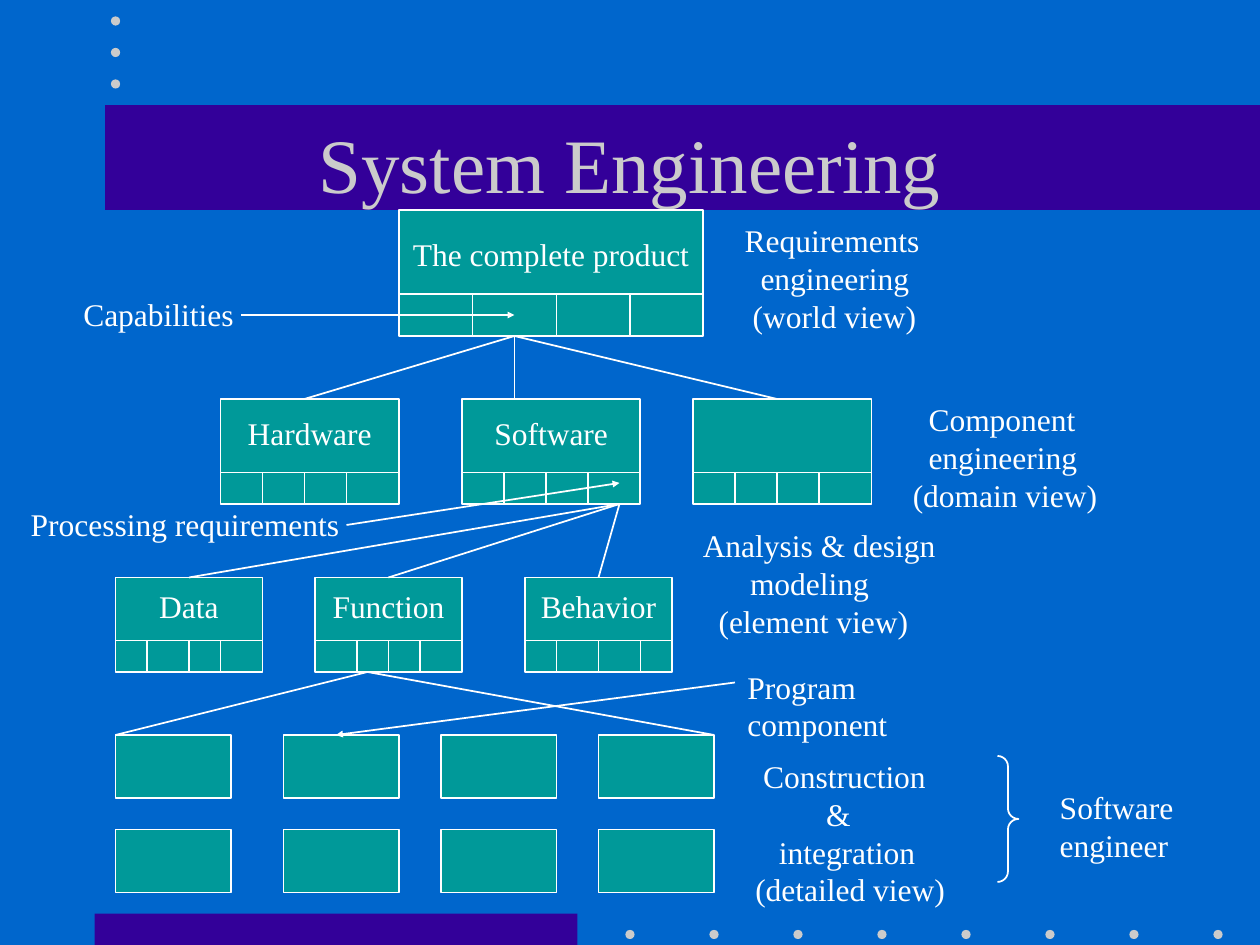
from lxml import etree
from pptx import Presentation
from pptx.dml.color import RGBColor
from pptx.enum.shapes import MSO_CONNECTOR, MSO_SHAPE
from pptx.enum.text import MSO_ANCHOR, PP_ALIGN
from pptx.oxml.ns import qn
from pptx.util import Pt

PX = 9525  # EMU per px, 96 px to the inch
FONT = "Times New Roman"
COLORS = {"back": "0066CC", "band": "330099", "pale": "CBCBCB",
          "box": "009999", "white": "FFFFFF"}

BANDS = [(80, 80, 880, 80), (72, 696, 368, 24)]
DOT = 7
DOT_CENTERS = [(88, 16 + 24 * i) for i in range(3)] + [(480 + 64 * i, 712) for i in range(8)]

# Each tier: top, width, height, depth of the split line,
# then (left, label, divider offsets) for each box
TIERS = [
    (160, 232, 96, 64, [(304, "The complete product", (56, 120, 176))]),
    (304, 136, 80, 56, [(168, "Hardware", (32, 64, 96)),
                        (352, "Software", (32, 64, 96)),
                        (528, "", (32, 64, 96))]),
    (440, 112, 72, 48, [(88, "Data", (24, 56, 80)),
                        (240, "Function", (32, 56, 80)),
                        (400, "Behavior", (24, 56, 88))]),
]
COMPONENT_LEFTS = (88, 216, 336, 456)
COMPONENT_TOPS = (560, 632)
COMPONENT_SIZE = (88, 48)

# Parent point, then the x of each child and their common y
BRANCHES = [
    ((392, 256), (392, 232, 592), 304),
    ((472, 384), (456, 296, 144), 440),
    ((280, 512), (88, 544), 560),
]
ARROWS = [
    ((184, 240), (392, 240)),
    ((264, 400), (472, 368)),
    ((560, 520), (256, 560)),
]
BRACE = (760, 576, 16, 96)

# Left, top, width, height, then (indent, line); widths leave room to spare
LABELS = [
    (54, 220, 146, 38, [(0, "Capabilities")]),
    (14, 380, 266, 38, [(0, "Processing requirements")]),
    (560, 504, 138, 67, [(0, "Program"), (0, "component")]),
    (566, 572, 176, 125, [(6, "Construction"), (54, "&"), (18, "integration"),
                          (0, "(detailed view)")]),
    (558, 164, 166, 96, [(0, "Requirements"), (12, "engineering"), (6, "(world view)")]),
    (686, 300, 172, 96, [(12, "Component"), (12, "engineering"), (0, "(domain view)")]),
    (798, 596, 118, 67, [(0, "Software"), (0, "engineer")]),
    (526, 396, 208, 96, [(0, "Analysis & design"), (36, "modeling"), (12, "(element view)")]),
]


def rgb(name):
    return RGBColor.from_string(COLORS[name])


def emu(*lengths):
    return [round(v * PX) for v in lengths]


def add_shape(s, kind, frame, fill=None, line=None):
    sp = s.shapes.add_shape(kind, *emu(*frame))
    sp.shadow.inherit = False
    if fill:
        sp.fill.solid()
        sp.fill.fore_color.rgb = rgb(fill)
    else:
        sp.fill.background()
    if line:
        sp.line.color.rgb = rgb(line)
        sp.line.width = Pt(1)
    else:
        sp.line.fill.background()
    return sp


def add_line(s, start, end, arrow=False):
    c = s.shapes.add_connector(MSO_CONNECTOR.STRAIGHT, *emu(*start, *end))
    c.line.color.rgb = rgb("white")
    c.line.width = Pt(1)
    if arrow:
        etree.SubElement(c.line._get_or_add_ln(), qn("a:tailEnd"),
                         type="triangle", w="sm", len="sm")
    etree.SubElement(c._element.spPr, qn("a:effectLst"))


def write(sp, lines, size=18, color="white", align=PP_ALIGN.LEFT, anchor=MSO_ANCHOR.TOP):
    """Fill a shape with (indent, text) lines."""
    tf = sp.text_frame
    tf.word_wrap = True
    tf.vertical_anchor = anchor
    for i, (indent, text) in enumerate(lines):
        p = tf.add_paragraph() if i else tf.paragraphs[0]
        p._p.get_or_add_pPr().set("marL", str(indent * PX))
        p.alignment = align
        r = p.add_run()
        r.text = text
        r.font.name = FONT
        r.font.size = Pt(size)
        r.font.color.rgb = rgb(color)
    return tf


def add_tier(s, top, width, height, split, boxes):
    for left, label, offsets in boxes:
        sp = add_shape(s, MSO_SHAPE.RECTANGLE, (left, top, width, height), "box", "white")
        if label:
            tf = write(sp, [(0, label)], align=PP_ALIGN.CENTER, anchor=MSO_ANCHOR.MIDDLE)
            tf.margin_bottom = 33 * PX  # lifts the label above the split line
        y = top + split
        add_line(s, (left, y), (left + width, y))
        for dx in offsets:
            add_line(s, (left + dx, y), (left + dx, top + height))


def main():
    prs = Presentation()
    prs.slide_width, prs.slide_height = emu(960, 720)
    s = prs.slides.add_slide(prs.slide_layouts[6])
    s.background.fill.solid()
    s.background.fill.fore_color.rgb = rgb("back")

    for frame in BANDS:
        add_shape(s, MSO_SHAPE.RECTANGLE, frame, "band")
    for x, y in DOT_CENTERS:
        add_shape(s, MSO_SHAPE.OVAL, (x - DOT / 2, y - DOT / 2, DOT, DOT), "pale")
    title = s.shapes.add_textbox(*emu(72, 64, 816, 120))
    write(title, [(0, "System Engineering")], size=44, color="pale",
          align=PP_ALIGN.CENTER, anchor=MSO_ANCHOR.MIDDLE)

    for tier in TIERS:
        add_tier(s, *tier)
    for top in COMPONENT_TOPS:
        for left in COMPONENT_LEFTS:
            add_shape(s, MSO_SHAPE.RECTANGLE, (left, top, *COMPONENT_SIZE), "box", "white")

    for parent, child_xs, child_y in BRANCHES:
        for x in child_xs:
            add_line(s, parent, (x, child_y))
    for start, end in ARROWS:
        add_line(s, start, end, arrow=True)

    brace = add_shape(s, MSO_SHAPE.RIGHT_BRACE, BRACE, line="white")
    brace.adjustments[0] = 0.5
    for *frame, lines in LABELS:
        write(s.shapes.add_textbox(*emu(*frame)), lines)

    prs.save("out.pptx")


if __name__ == "__main__":
    main()
